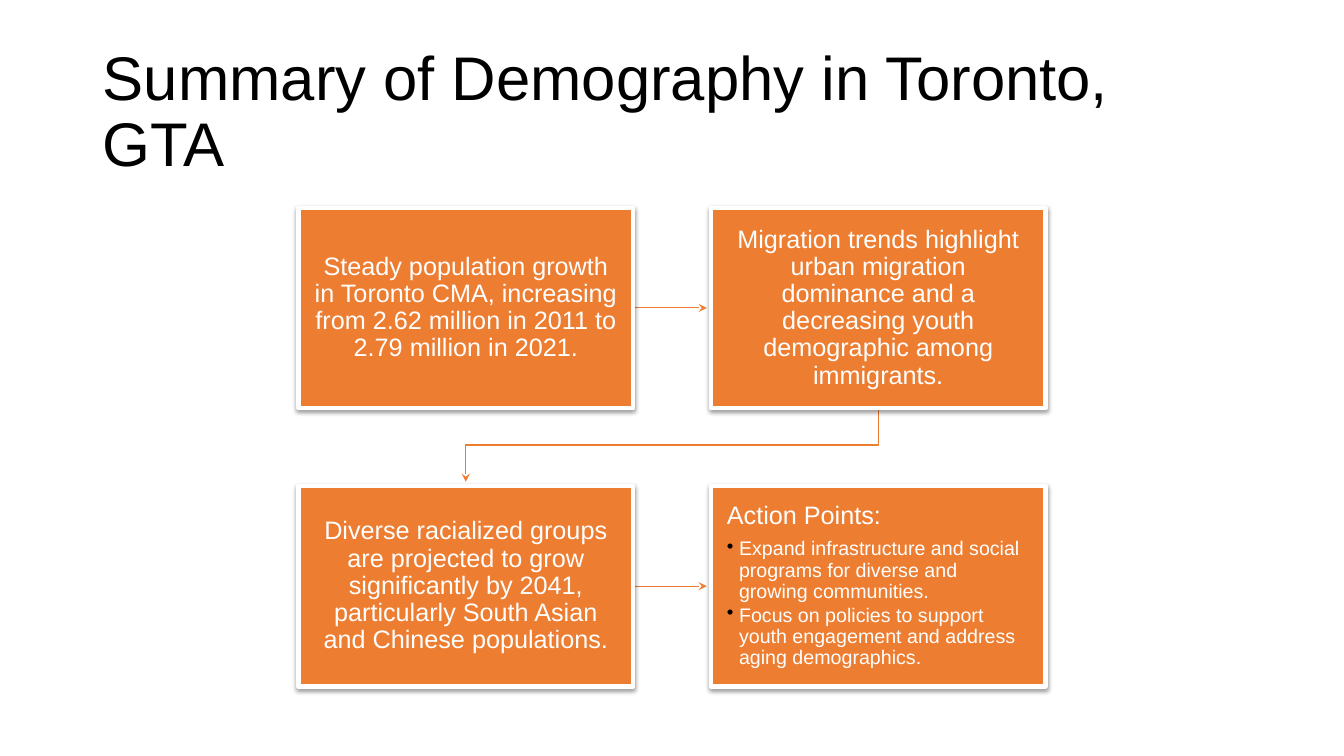
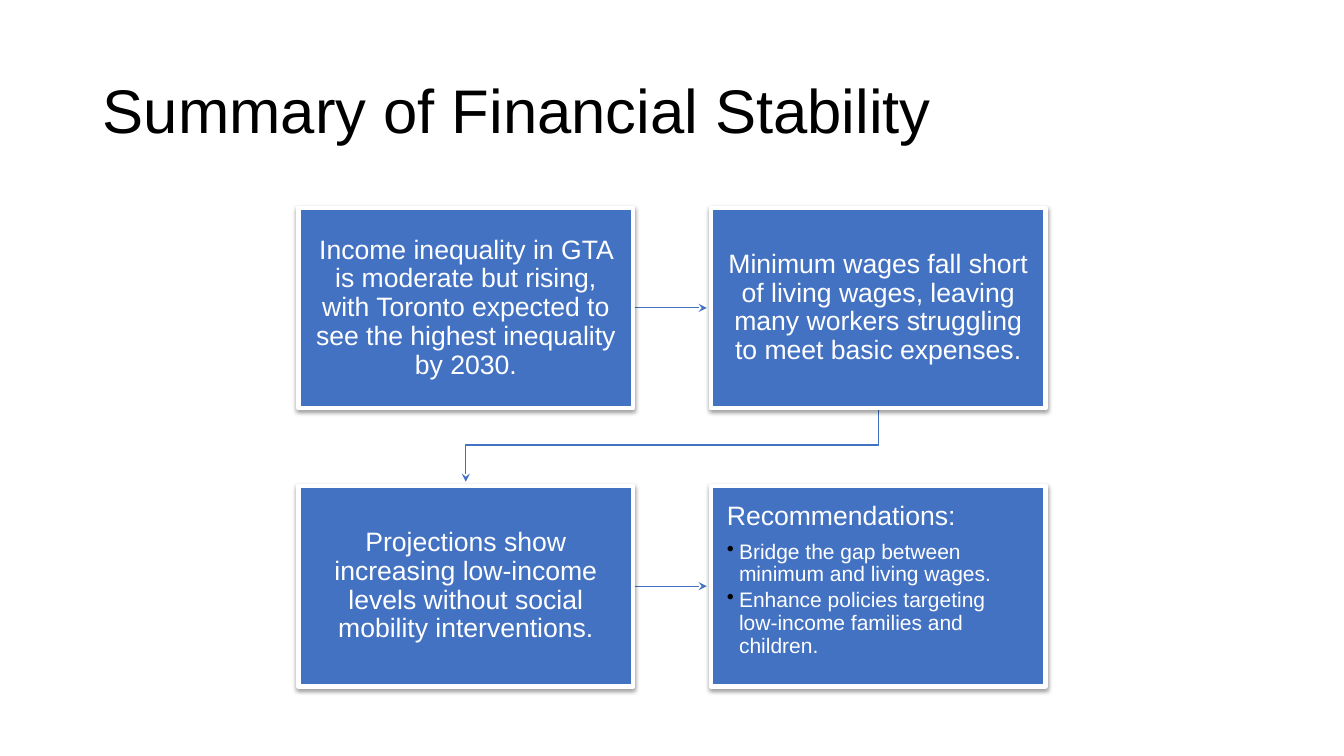
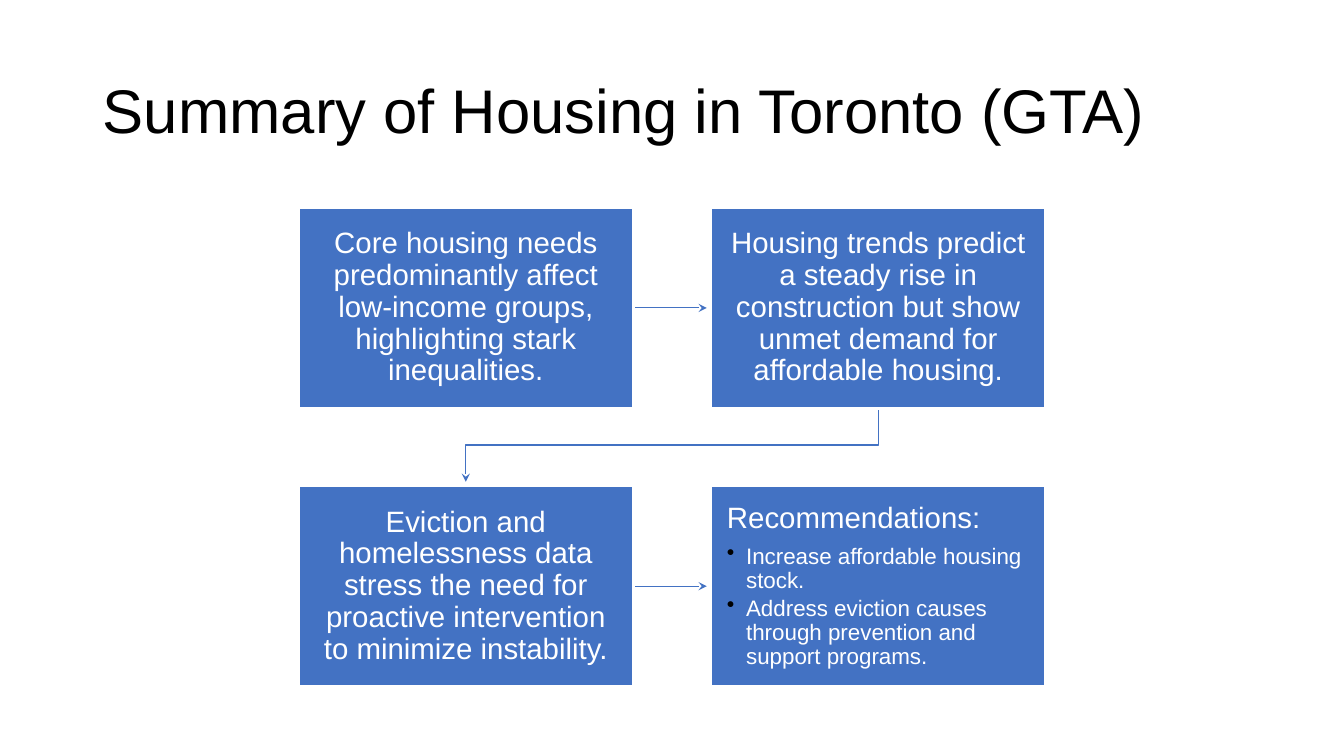
from lxml.etree import SubElement
from pptx import Presentation
from pptx.dml.color import RGBColor
from pptx.enum.shapes import MSO_CONNECTOR, MSO_SHAPE
from pptx.enum.text import MSO_ANCHOR, MSO_AUTO_SIZE, PP_ALIGN
from pptx.oxml.ns import qn
from pptx.util import Inches, Pt

COLORS = {name: RGBColor.from_string(value) for name, value in {
    "orange": "ED7D31", "blue": "4372C3", "white": "FFFFFF", "black": "000000",
}.items()}
FONT = "Arial"

SLIDE_WIDTH, SLIDE_HEIGHT = 13.33, 7.5
BOX_WIDTH, BOX_HEIGHT, GAP = 3.32, 1.99, 0.77
ARROW_LENGTH = 0.73
GRID_LEFT = (SLIDE_WIDTH - 2 * BOX_WIDTH - GAP) / 2
GRID_TOP = 2.06
COLUMNS = [GRID_LEFT + column * (BOX_WIDTH + GAP) for column in range(2)]
ROWS = [GRID_TOP + row * (BOX_HEIGHT + GAP) for row in range(2)]

SUMMARIES = [
    {
        "title": "Summary of Demography in Toronto, GTA",
        "color": "orange", "outline": 3, "shadow": True,
        "size": 18, "bullet_size": 14, "indent": 0.12, "spaces": (6.3, 2.1),
        "findings": [
            "Steady population growth in Toronto CMA, increasing from 2.62 million in 2011 to 2.79 million in 2021.",
            "Migration trends highlight urban migration dominance and a decreasing youth demographic among immigrants.",
            "Diverse racialized groups are projected to grow significantly by 2041, particularly South Asian and Chinese populations.",
        ],
        "heading": "Action Points:",
        "actions": [
            "Expand infrastructure and social programs for diverse and growing communities.",
            "Focus on policies to support youth engagement and address aging demographics.",
        ],
    },
    {
        "title": "Summary of Financial Stability",
        "color": "blue", "outline": 3, "shadow": True,
        "size": 19, "bullet_size": 15, "indent": 0.12, "spaces": (6.7, 2.2),
        "findings": [
            "Income inequality in GTA is moderate but rising, with Toronto expected to see the highest inequality by 2030.",
            "Minimum wages fall short of living wages, leaving many workers struggling to meet basic expenses.",
            "Projections show increasing low-income levels without social mobility interventions.",
        ],
        "heading": "Recommendations:",
        "actions": [
            "Bridge the gap between minimum and living wages.",
            "Enhance policies targeting low-income families and children.",
        ],
    },
    {
        "title": "Summary of Housing in Toronto (GTA)",
        "color": "blue", "outline": 2, "shadow": False,
        "size": 21, "bullet_size": 16, "indent": 0.19, "spaces": (7.3, 2.4),
        "findings": [
            "Core housing needs predominantly affect low-income groups, highlighting stark inequalities.",
            "Housing trends predict a steady rise in construction but show unmet demand for affordable housing.",
            "Eviction and homelessness data stress the need for proactive intervention to minimize instability.",
        ],
        "heading": "Recommendations:",
        "actions": [
            "Increase affordable housing stock.",
            "Address eviction causes through prevention and support programs.",
        ],
    },
]


def write(para, text, size, color, align=PP_ALIGN.LEFT):
    para.text = text
    para.alignment = align
    para.line_spacing = 0.9
    para.font.name = FONT
    para.font.size = Pt(size)
    para.font.color.rgb = COLORS[color]


def add_arrow(page, kind, start, end, color):
    arrow = page.shapes.add_connector(kind, *map(Inches, start + end))
    arrow.line.color.rgb = COLORS[color]
    arrow.line.width = Pt(0.75)
    properties = arrow.element.spPr
    SubElement(properties.find(qn("a:ln")), qn("a:tailEnd"), type="stealth")
    SubElement(properties, qn("a:effectLst"))
    return arrow


deck = Presentation()
deck.slide_width, deck.slide_height = Inches(SLIDE_WIDTH), Inches(SLIDE_HEIGHT)
title_only = deck.slide_layouts[5]

for summary in SUMMARIES:
    page = deck.slides.add_slide(title_only)
    color = summary["color"]

    title = page.shapes.title
    title.left, title.top = Inches(0.92), Inches(0.4)
    title.width, title.height = Inches(11.5), Inches(1.45)
    title.text_frame.auto_size = MSO_AUTO_SIZE.NONE
    title.text_frame.vertical_anchor = MSO_ANCHOR.MIDDLE
    write(title.text_frame.paragraphs[0], summary["title"], 44, "black")

    for top in ROWS:
        middle = top + BOX_HEIGHT / 2
        start = COLUMNS[0] + BOX_WIDTH
        add_arrow(page, MSO_CONNECTOR.STRAIGHT, (start, middle), (start + ARROW_LENGTH, middle), color)

    # A quarter turn makes the elbow leave the second box downwards.
    center_x = SLIDE_WIDTH / 2
    center_y = ROWS[0] + BOX_HEIGHT + ARROW_LENGTH / 2
    half_drop, half_run = ARROW_LENGTH / 2, (BOX_WIDTH + GAP) / 2
    elbow = add_arrow(page, MSO_CONNECTOR.ELBOW, (center_x - half_drop, center_y - half_run),
                      (center_x + half_drop, center_y + half_run), color)
    elbow.element.spPr.find(qn("a:xfrm")).set("rot", "5400000")

    cells = [(left, top) for top in ROWS for left in COLUMNS]
    for (left, top), text in zip(cells, summary["findings"] + [summary["heading"]]):
        box = page.shapes.add_shape(MSO_SHAPE.RECTANGLE, *map(Inches, (left, top, BOX_WIDTH, BOX_HEIGHT)))
        box.fill.solid()
        box.fill.fore_color.rgb = COLORS[color]
        box.line.color.rgb = COLORS["white"]
        box.line.width = Pt(summary["outline"])
        box.shadow.inherit = False
        if summary["shadow"]:
            effects = box.element.spPr.find(qn("a:effectLst"))
            shadow = SubElement(effects, qn("a:outerShdw"), blurRad="40000", dist="20000",
                                dir="5400000", rotWithShape="0")
            shade = SubElement(shadow, qn("a:srgbClr"), val=str(COLORS["black"]))
            SubElement(shade, qn("a:alpha"), val="38000")

        frame = box.text_frame
        frame.word_wrap = True
        frame.margin_left = frame.margin_right = Inches(0.16)
        frame.margin_top = frame.margin_bottom = Inches(0.17)
        is_list = text == summary["heading"]
        frame.vertical_anchor = MSO_ANCHOR.TOP if is_list else MSO_ANCHOR.MIDDLE
        write(frame.paragraphs[0], text, summary["size"], "white",
              PP_ALIGN.LEFT if is_list else PP_ALIGN.CENTER)

    # The last box of the grid holds the list.
    for action, space in zip(summary["actions"], summary["spaces"]):
        para = frame.add_paragraph()
        para.level = 1
        para.space_before = Pt(space)
        layout = para._p.get_or_add_pPr()
        layout.set("marL", str(Inches(summary["indent"])))
        layout.set("indent", str(-Inches(summary["indent"])))
        bullet_color = SubElement(layout, qn("a:buClr"))
        SubElement(bullet_color, qn("a:srgbClr"), val=str(COLORS["black"]))
        SubElement(layout, qn("a:buChar"), char="•")
        write(para, action, summary["bullet_size"], "white")

deck.save("out.pptx")
